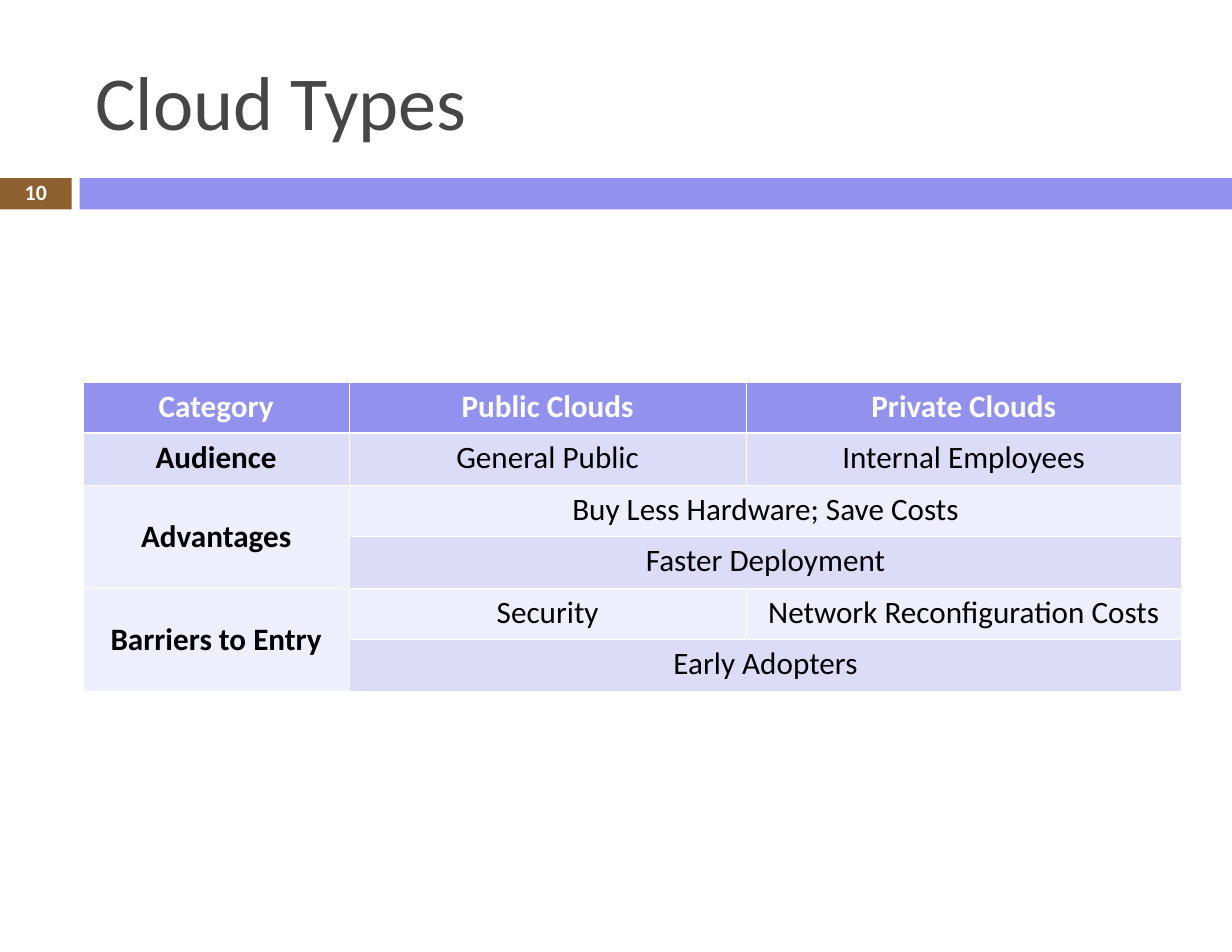
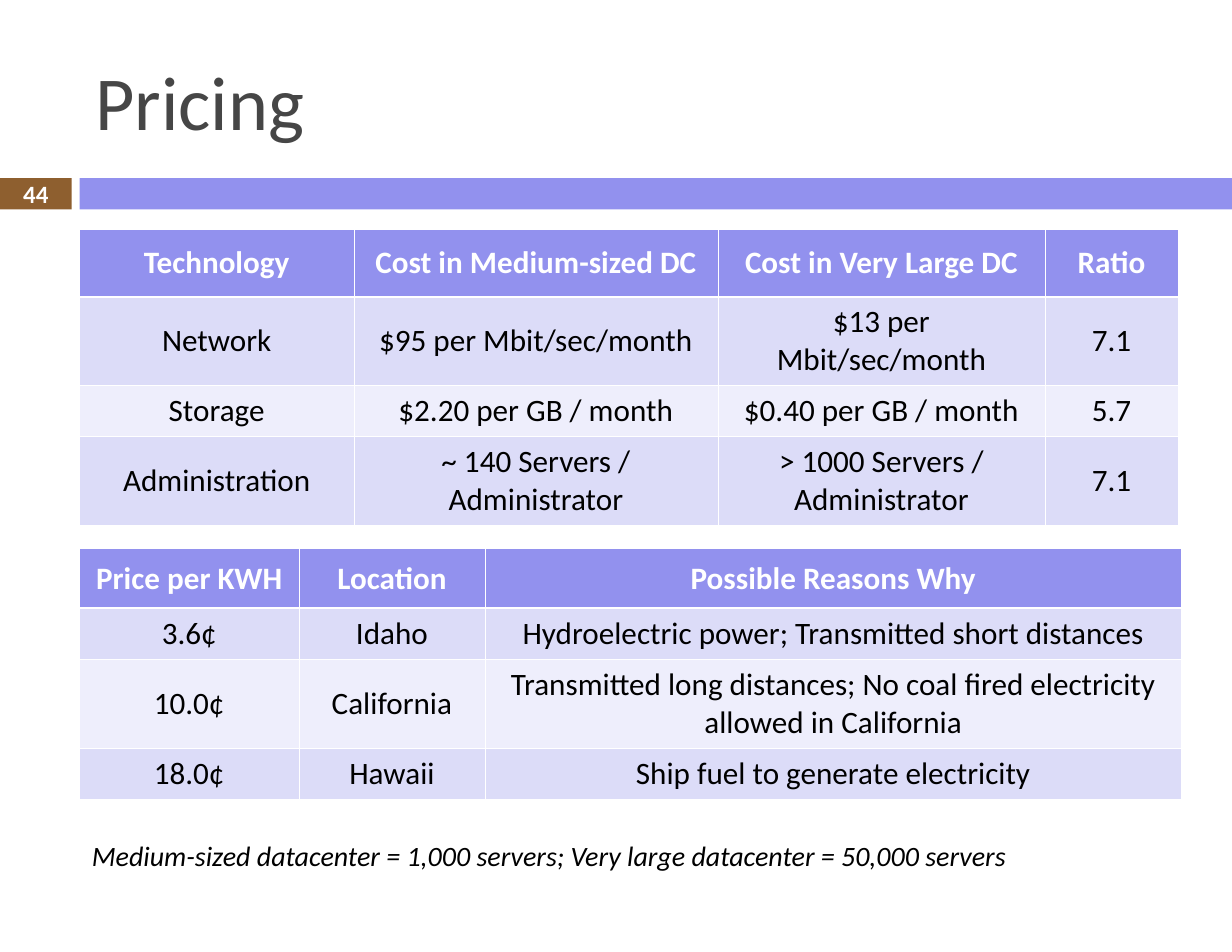
from dataclasses import dataclass

from lxml import etree
from pptx import Presentation
from pptx import util as u
from pptx.dml.color import RGBColor
from pptx.enum import shapes, text
from pptx.oxml import ns


@dataclass(frozen=True)
class Theme:
    font: str = "Calibri"
    accent: str = "9291EE"
    number_box: str = "8E5F2F"
    title: str = "464646"
    body: str = "000000"
    white: str = "FFFFFF"
    bands: tuple = ("EEEEFC", "DCDCF8")  # even rows, odd rows
    title_size: float = 49
    table_size: float = 20
    note_size: float = 18
    thin_rule: float = 0.45
    header_rule: float = 1.47


THEME = Theme()
TITLE_BOX = (0.74, 0.28, 9.81, 1.23)
STRIP_BOX = (0, 1.59, 11, 0.28)
MIDDLE, TOP = text.MSO_ANCHOR.MIDDLE, text.MSO_ANCHOR.TOP
CENTER = text.PP_ALIGN.CENTER


def write(frame, words, size, color, bold=False, italic=False, align=None):
    """Put one styled paragraph in a text frame."""
    frame.text = words
    paragraph = frame.paragraphs[0]
    paragraph.alignment = align
    font = paragraph.runs[0].font
    font.name, font.size = THEME.font, u.Pt(size)
    font.bold, font.italic = bold, italic
    font.color.rgb = RGBColor.from_string(color)
    return paragraph


def add_label(slide, box, words, size, color, anchor=MIDDLE, **style):
    frame = slide.shapes.add_textbox(*map(u.Inches, box)).text_frame
    frame.word_wrap = True
    frame.vertical_anchor = anchor
    frame.margin_left = frame.margin_right = u.Inches(0.11)
    frame.margin_top = frame.margin_bottom = u.Inches(0.06)
    return write(frame, words, size, color, **style)


def add_bar(slide, box, color):
    bar = slide.shapes.add_shape(shapes.MSO_SHAPE.RECTANGLE, *map(u.Inches, box))
    bar.shadow.inherit = False
    bar.fill.solid()
    bar.fill.fore_color.rgb = RGBColor.from_string(color)
    bar.line.fill.background()


def add_strip(slide, box, number, size, line_spacing):
    """Numbered tab on the left, accent bar across the rest."""
    left, top, width, height = box
    tab, bar_start = 0.64, 0.71
    add_bar(slide, (left, top, tab, height), THEME.number_box)
    add_bar(slide, (left + bar_start, top, width - bar_start, height), THEME.accent)
    page = add_label(slide, (left, top - 0.01, tab, height + 0.02), number,
                     size, THEME.white, bold=True, align=CENTER)
    page.line_spacing = line_spacing


def start_slide(deck, title, number, number_size, line_spacing=1.0):
    slide = deck.slides.add_slide(deck.slide_layouts[6])
    add_strip(slide, STRIP_BOX, number, number_size, line_spacing)
    add_label(slide, TITLE_BOX, title, THEME.title_size, THEME.title)
    return slide


def rule_cell(cell, top, bottom):
    """Draw white rules on the four sides, ahead of the cell's fill."""
    properties = cell._tc.get_or_add_tcPr()
    widths = {"L": THEME.thin_rule, "R": THEME.thin_rule, "T": top, "B": bottom}
    for place, (side, width) in enumerate(widths.items()):
        rule = etree.Element(ns.qn(f"a:ln{side}"), w=str(u.Pt(width)))
        fill = etree.SubElement(rule, ns.qn("a:solidFill"))
        etree.SubElement(fill, ns.qn("a:srgbClr"), val=THEME.white)
        properties.insert(place, rule)


def add_grid(slide, corner, columns, heights, rows, spans=(), bold_labels=False,
             anchor=MIDDLE):
    """Banded table; spans lists (row, column, last row, last column)."""
    box = (*corner, sum(columns), sum(heights))
    grid = slide.shapes.add_table(len(rows), len(columns), *map(u.Inches, box)).table
    for column, width in zip(grid.columns, columns):
        column.width = u.Inches(width)
    for row, height in zip(grid.rows, heights):
        row.height = u.Inches(height)

    for r, row in enumerate(rows):
        header = r == 0
        for c, words in enumerate(row):
            cell = grid.cell(r, c)
            cell.fill.solid()
            cell.fill.fore_color.rgb = RGBColor.from_string(
                THEME.accent if header else THEME.bands[r % 2])
            rule_cell(cell,
                      THEME.header_rule if r == 1 else THEME.thin_rule,
                      THEME.header_rule if header else THEME.thin_rule)
            cell.margin_left = cell.margin_right = u.Inches(0.11)
            cell.margin_top = cell.margin_bottom = u.Inches(0.05)
            cell.vertical_anchor = anchor
            if words:
                write(cell.text_frame, words, THEME.table_size,
                      THEME.white if header else THEME.body,
                      bold=header or (bold_labels and c == 0), align=CENTER)

    for r, c, last_row, last_column in spans:
        grid.cell(r, c).merge(grid.cell(last_row, last_column))
        if last_row > r:
            grid.cell(r, c).vertical_anchor = MIDDLE


def build_cloud_types(deck):
    slide = start_slide(deck, "Cloud Types", "10", 14, 0.8)
    comparison = [
        ("Category", "Public Clouds", "Private Clouds"),
        ("Audience", "General Public", "Internal Employees"),
        ("Advantages", "Buy Less Hardware; Save Costs", ""),
        ("", "Faster Deployment", ""),
        ("Barriers to Entry", "Security", "Network Reconfiguration Costs"),
        ("", "Early Adopters", ""),
    ]
    add_grid(slide, (0.74, 3.41), (2.38, 3.54, 3.89), [0.46] * len(comparison),
             comparison, bold_labels=True, anchor=TOP,
             spans=[(2, 0, 3, 0), (4, 0, 5, 0),
                    (2, 1, 2, 2), (3, 1, 3, 2), (5, 1, 5, 2)])


def build_pricing(deck):
    slide = start_slide(deck, "Pricing", "44", 16)
    left = 0.71
    # Costs by size of datacenter
    add_grid(slide, (left, 2.05), (2.45, 3.25, 2.92, 1.19), (0.6, 0.79, 0.46, 0.79), [
        ("Technology", "Cost in Medium-sized DC", "Cost in Very Large DC", "Ratio"),
        ("Network", "$95 per Mbit/sec/month", "$13 per Mbit/sec/month", "7.1"),
        ("Storage", "$2.20 per GB / month", "$0.40 per GB / month", "5.7"),
        ("Administration", "~ 140 Servers / Administrator",
         "> 1000 Servers / Administrator", "7.1"),
    ])
    # Electricity prices by state
    add_grid(slide, (left, 4.9), (1.96, 1.66, 6.22), (0.53, 0.46, 0.79, 0.46), [
        ("Price per KWH", "Location", "Possible Reasons Why"),
        ("3.6¢", "Idaho", "Hydroelectric power; Transmitted short distances"),
        ("10.0¢", "California", "Transmitted long distances; No coal fired "
         "electricity allowed in California"),
        ("18.0¢", "Hawaii", "Ship fuel to generate electricity"),
    ])
    # Footnote
    add_label(slide, (left, 7.43, 9.74, 0.41),
              "Medium-sized datacenter = 1,000 servers; "
              "Very large datacenter = 50,000 servers",
              THEME.note_size, THEME.body, anchor=TOP, italic=True)


def main():
    deck = Presentation()
    deck.slide_width, deck.slide_height = u.Inches(11), u.Inches(8.5)
    build_cloud_types(deck)
    build_pricing(deck)
    deck.save("out.pptx")


if __name__ == "__main__":
    main()
